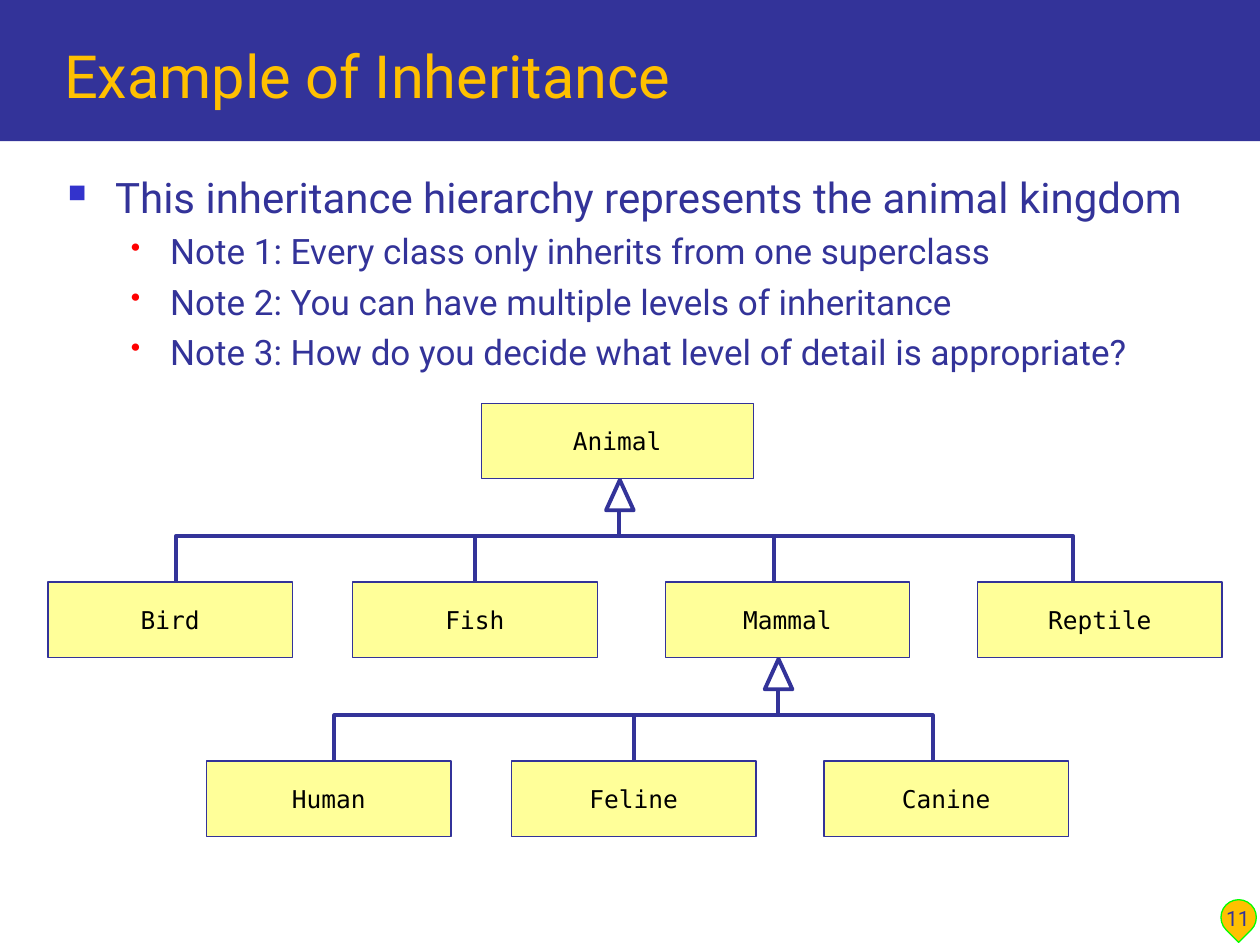
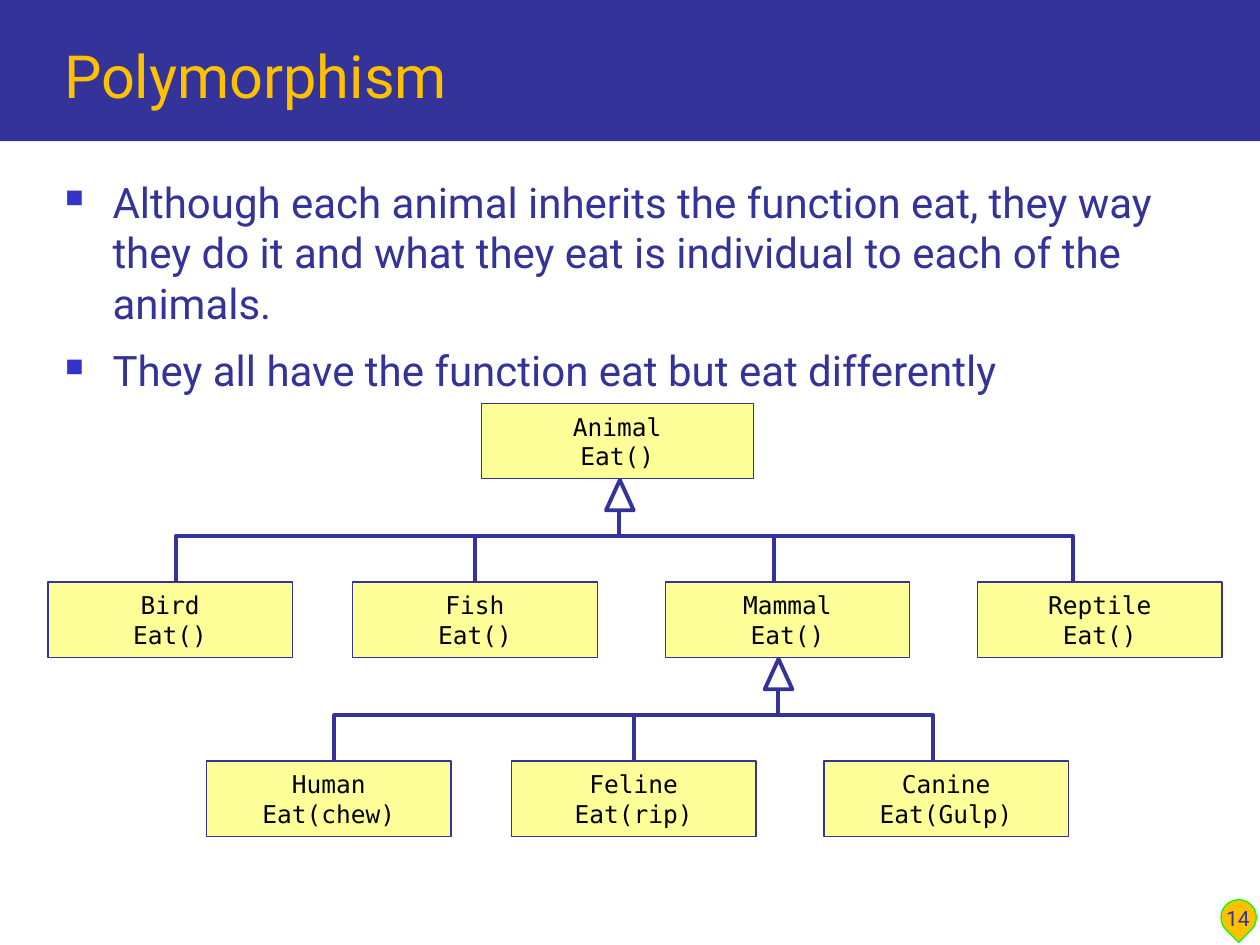
from pptx import Presentation, util as u
from pptx.dml import color
from pptx.enum import shapes, text
from pptx.oxml import ns, xmlchemy as x

Pt = u.Pt
RGB = color.RGBColor
NAVY = RGB(0x33, 0x33, 0x99)
GOLD = RGB(0xFF, 0xC0, 0x00)
LIME = RGB(0x00, 0xFF, 0x00)
CREAM = RGB(0xFF, 0xFF, 0x99)
WHITE = RGB(0xFF, 0xFF, 0xFF)
BLACK = RGB(0x00, 0x00, 0x00)
SANS, MONO = "Roboto", "DejaVu Sans Mono"
SHAPE = shapes.MSO_SHAPE
LINK = shapes.MSO_CONNECTOR
MID, LOW, TOP = text.MSO_ANCHOR.MIDDLE, text.MSO_ANCHOR.BOTTOM, text.MSO_ANCHOR.TOP
LEFT, CENTER = text.PP_ALIGN.LEFT, text.PP_ALIGN.CENTER

LEVELS = [
    dict(size=24, left=27, hang=27, gap=10, mark="■", tint="3333CC", scale=60),
    dict(size=20, left=58.5, hang=22.5, gap=4.7, mark="•", tint="FF0000", scale=80),
]


class Deck:
    def __init__(self):
        self.file = Presentation()
        self.file.slide_width, self.file.slide_height = Pt(720), Pt(540)

    def page(self, title, number):
        self.slide = self.file.slides.add_slide(self.file.slide_layouts[6])
        self.shape(SHAPE.RECTANGLE, (0, 0, 720, 80.64), NAVY)
        drop = self.shape(SHAPE.TEAR, (697.7, 514.1, 20.2, 20.2), GOLD, LIME)
        drop.rotation = 135
        self.label(title, (29.5, 12.2, 673.2, 54.7), 34, GOLD, LOW)
        self.label(str(number), (686.9, 499.7, 41, 36), 12, NAVY, LOW, CENTER)

    def shape(self, kind, area, fill, line=None, width=0.75):
        item = self.slide.shapes.add_shape(kind, *map(Pt, area))
        item.shadow.inherit = False
        item.fill.solid()
        item.fill.fore_color.rgb = fill
        if line is None:
            item.line.fill.background()
        else:
            item.line.color.rgb = line
            item.line.width = Pt(width)
        return item

    def style(self, item, words, size, tint, font, anchor, align):
        frame = item.text_frame
        frame.word_wrap = True
        frame.vertical_anchor = anchor
        frame.text = words
        for para in frame.paragraphs:
            para.alignment = align
            for run in para.runs:
                run.font.size = Pt(size)
                run.font.name = font
                run.font.color.rgb = tint

    def label(self, words, area, size, tint, anchor=TOP, align=LEFT):
        item = self.slide.shapes.add_textbox(*map(Pt, area))
        self.style(item, words, size, tint, SANS, anchor, align)
        return item

    def body(self, area, lines):
        words = "\n".join(line for _, line in lines)
        item = self.label(words, area, 24, NAVY)
        for i, (para, (level, _)) in enumerate(zip(item.text_frame.paragraphs, lines)):
            look = LEVELS[level]
            para.level = level
            para.space_before = Pt(look["gap"] if i else 0)
            para.runs[0].font.size = Pt(look["size"])
            prop = para._p.get_or_add_pPr()
            prop.set("marL", str(Pt(look["left"])))
            prop.set("indent", str(-Pt(look["hang"])))
            tint = x.OxmlElement("a:buClr")
            rgb = x.OxmlElement("a:srgbClr")
            rgb.set("val", look["tint"])
            tint.append(rgb)
            scale = x.OxmlElement("a:buSzPct")
            scale.set("val", str(look["scale"] * 1000))
            mark = x.OxmlElement("a:buChar")
            mark.set("char", look["mark"])
            prop.extend([tint, scale, mark])

    def box(self, words, left, top, width=139.7):
        item = self.shape(SHAPE.RECTANGLE, (left, top, width, 43.2), CREAM, NAVY)
        self.style(item, words, 14, BLACK, MONO, MID, CENTER)

    def link(self, kind, ends):
        item = self.slide.shapes.add_connector(kind, *map(Pt, ends))
        item.line.color.rgb = NAVY
        item.line.width = Pt(2.25)
        item._element.spPr.append(x.OxmlElement("a:effectLst"))
        return item

    def bend(self, left, top):
        item = self.link(LINK.ELBOW, (left, top + 29.2, left + 162.7, top))
        geom = item._element.spPr.find(ns.qn("a:prstGeom"))
        geom.set("prst", "bentConnector4")
        for old in list(geom):
            geom.remove(old)
        guides = x.OxmlElement("a:avLst")
        for name, val in (("adj1", -5100), ("adj2", 187600)):
            guide = x.OxmlElement("a:gd")
            guide.set("name", name)
            guide.set("fmla", f"val {val}")
            guides.append(guide)
        geom.append(guides)

    def branch(self, names, dx=0, dy=0):
        self.link(LINK.STRAIGHT, (353.7 + dx, 276.5 + dy, 353.7 + dx, 306 + dy))
        area = (346.3 + dx, 274.3 + dy, 15.8, 17.3)
        self.shape(SHAPE.ISOSCELES_TRIANGLE, area, WHITE, NAVY, 2.25)
        for i in range(len(names) - 1):
            self.bend(108.7 + 171 * i + dx, 332.1 + dy)
        for words, left in zip(names, (27.4, 201.6, 380.2, 558.7)):
            self.box(words, left + dx, 332.6 + dy)

    def tree(self, root, kinds, mammals):
        self.box(root, 275, 230.4, 155.5)
        self.branch(kinds)
        self.branch(mammals, 90.7, 102.3)


KINDS = ["Bird", "Fish", "Mammal", "Reptile"]
MEALS = {"Human": "chew", "Feline": "rip", "Canine": "Gulp"}

deck = Deck()

deck.page("Example of Inheritance", 11)
deck.body((31.7, 94.3, 668.2, 388.8), [
    (0, "This inheritance hierarchy represents the animal kingdom"),
    (1, "Note 1: Every class only inherits from one superclass"),
    (1, "Note 2: You can have multiple levels of inheritance"),
    (1, "Note 3: How do you decide what level of detail is appropriate?"),
])
deck.tree("Animal", KINDS, list(MEALS))

deck.page("Polymorphism", 14)
deck.tree("Animal\nEat()", [f"{kind}\nEat()" for kind in KINDS],
          [f"{name}\nEat({meal})" for name, meal in MEALS.items()])
deck.body((30.2, 97.2, 673.2, 388.8), [
    (0, "Although each animal inherits the function eat, they way they do it "
        "and what they eat is individual to each of the animals."),
    (0, "They all have the function eat but eat differently"),
])

deck.file.save("out.pptx")
